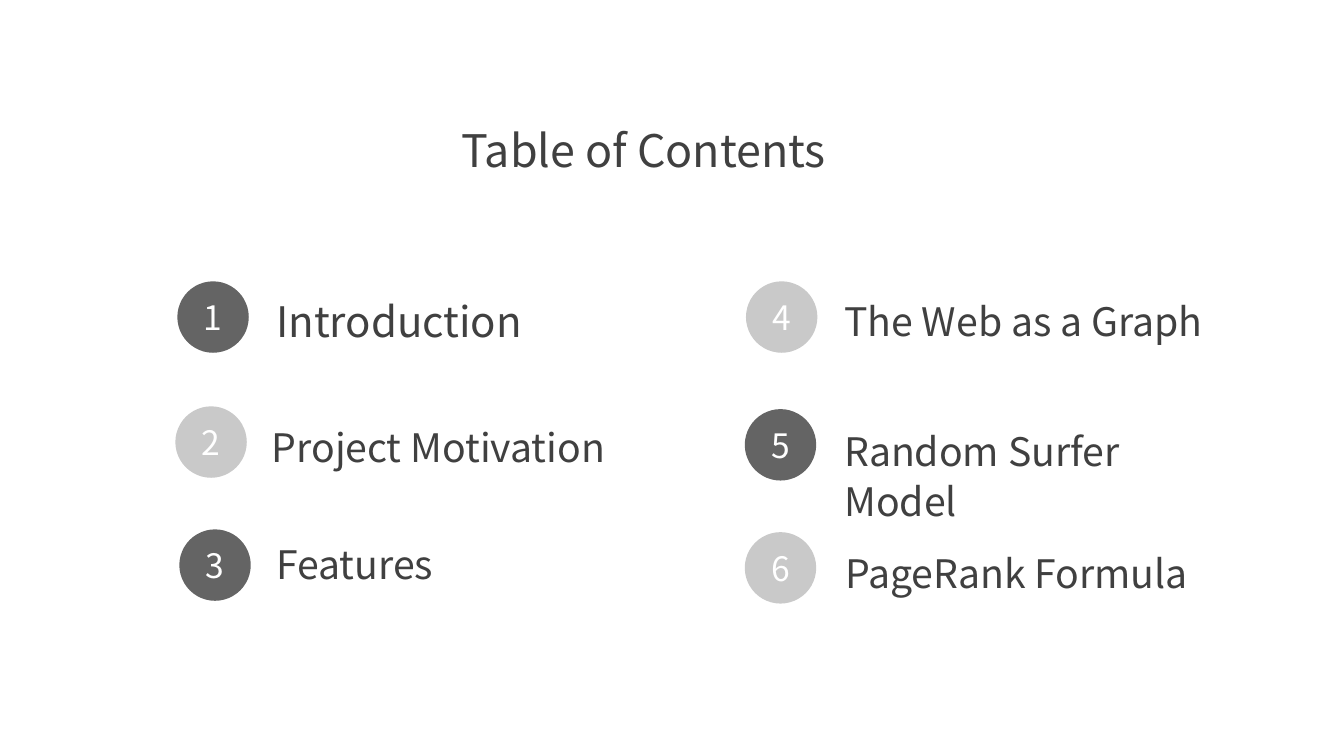
from pptx import Presentation
from pptx.dml.color import RGBColor
from pptx.enum.shapes import MSO_SHAPE
from pptx.enum.text import MSO_ANCHOR, MSO_AUTO_SIZE, PP_ALIGN
from pptx.util import Cm, Pt

OVAL = MSO_SHAPE.OVAL
TOP, MIDDLE = MSO_ANCHOR.TOP, MSO_ANCHOR.MIDDLE
LEFT, CENTER = PP_ALIGN.LEFT, PP_ALIGN.CENTER
NO_AUTOFIT = MSO_AUTO_SIZE.NONE

FONT = "Noto Sans CJK SC"
TEXT_COLOR = "404040"
WHITE = "FFFFFF"
DARK_GRAY, LIGHT_GRAY = "646464", "C9C9C9"
BADGE_SIZE = Cm(1.8)


def rgb(hex_color):
    return RGBColor.from_string(hex_color)


def write_text(shape, text, size, color, alignment, anchor, line_spacing=1.0):
    frame = shape.text_frame
    frame.word_wrap = True
    frame.auto_size = NO_AUTOFIT
    frame.vertical_anchor = anchor
    paragraph = frame.paragraphs[0]
    paragraph.alignment = alignment
    paragraph.line_spacing = line_spacing
    run = paragraph.add_run()
    run.text = text
    run.font.name = FONT
    run.font.size = Pt(size)
    run.font.color.rgb = rgb(color)


presentation = Presentation()
presentation.slide_width = Cm(33.87)
presentation.slide_height = Cm(19.05)
slide = presentation.slides.add_slide(presentation.slide_layouts[5])

title = slide.shapes.title
title.left, title.top, title.width, title.height = Cm(11.38), Cm(2.97), Cm(9.7), Cm(1.52)
write_text(title, "Table of Contents", 32, TEXT_COLOR, CENTER, TOP)

# Label, font size, line spacing, badge (left, top), label (left, top, width, height)
entries = [
    ("Introduction", 30, 1.06, (4.47, 7.09), (6.71, 7.24, 8.81, 1.6)),
    ("Project Motivation", 28, 1.06, (4.42, 10.24), (6.6, 10.46, 9.65, 1.57)),
    ("Features", 28, 0.96, (4.52, 13.34), (6.71, 13.56, 9.96, 1.42)),
    ("The Web as a Graph", 28, 1.06, (18.8, 7.09), (21.03, 7.29, 11.71, 1.47)),
    ("Random Surfer Model", 28, 1.06, (18.77, 10.31), (21.03, 10.57, 10.31, 1.32)),
    ("PageRank Formula", 28, 1.06, (18.77, 13.41), (21.06, 13.64, 10.31, 1.32)),
]

for number, (text, size, line_spacing, badge_position, label_box) in enumerate(entries, start=1):
    entry = slide.shapes.add_group_shape()

    badge_left, badge_top = map(Cm, badge_position)
    badge = entry.shapes.add_shape(OVAL, badge_left, badge_top, BADGE_SIZE, BADGE_SIZE)
    badge.shadow.inherit = False
    badge.fill.solid()
    badge.fill.fore_color.rgb = rgb(DARK_GRAY if number % 2 else LIGHT_GRAY)
    badge.line.fill.background()
    write_text(badge, str(number), 24, WHITE, CENTER, MIDDLE)

    label = entry.shapes.add_textbox(*map(Cm, label_box))
    write_text(label, text, size, TEXT_COLOR, LEFT, TOP, line_spacing)

presentation.save("out.pptx")
